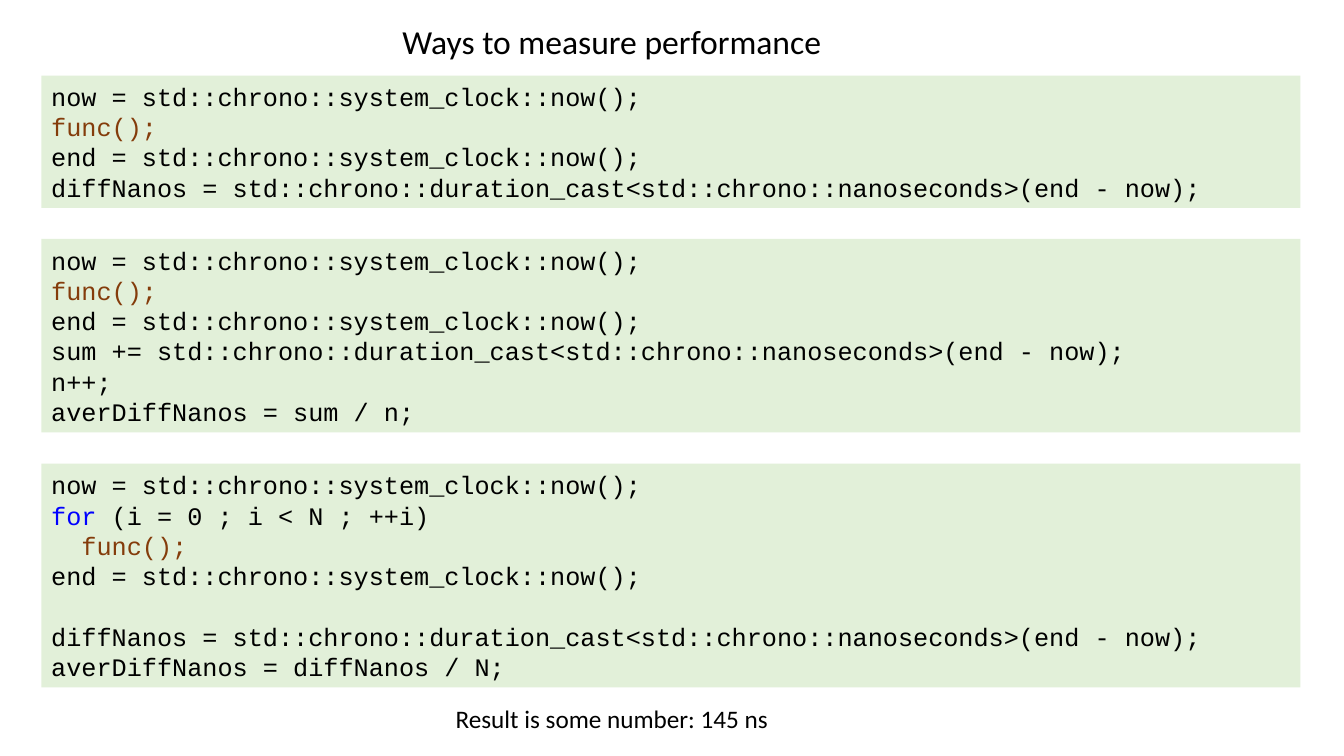
"""Build a slide comparing three ways to measure performance in C++."""
from pptx import Presentation
from pptx.dml.color import RGBColor
from pptx.enum.shapes import MSO_SHAPE
from pptx.enum.text import MSO_ANCHOR, MSO_AUTO_SIZE, PP_ALIGN
from pptx.util import Pt

RECTANGLE = MSO_SHAPE.RECTANGLE
MIDDLE = MSO_ANCHOR.MIDDLE
NO_AUTOFIT = MSO_AUTO_SIZE.NONE
LEFT, CENTER = PP_ALIGN.LEFT, PP_ALIGN.CENTER

BLACK, BROWN, BLUE, PALE_GREEN = "000000", "843C0B", "0000FF", "E2F0D9"
CODE_LINE = 21.6
CODE_INDENT = 21.6


def color(hex_string):
    return RGBColor.from_string(hex_string)


def add_run(paragraph, text, font, size, hex_string):
    run = paragraph.add_run()
    run.text = text
    run.font.name = font
    run.font.size = Pt(size)
    run.font.color.rgb = color(hex_string)


presentation = Presentation()
presentation.slide_width = Pt(960)
presentation.slide_height = Pt(540)
slide = presentation.slides.add_slide(presentation.slide_layouts[6])

start = [("now = std::chrono::system_clock::now();", BLACK)]
call = [("func();", BROWN)]
end = [("end = std::chrono::system_clock::now();", BLACK)]
difference = [("diffNanos = std::chrono::duration_cast<std::chrono::nanoseconds>(end - now);", BLACK)]
total = [("sum += std::chrono::duration_cast<std::chrono::nanoseconds>(end - now);", BLACK)]
count = [("n++;", BLACK)]
running_average = [("averDiffNanos = sum / n;", BLACK)]
loop = [("for", BLUE), (" (i = 0 ; i < N ; ++i)", BLACK)]
loop_average = [("averDiffNanos = diffNanos / N;", BLACK)]

# Each line: code runs, indent and space before, in points.
listings = [
    (54, 94.5, [(start, 0, 0), (call, 0, 0), (end, 0, 0), (difference, 0, 0)]),
    (170.6, 138.2, [(start, 0, 0), (call, 0, 0), (end, 0, 0),
                    (total, 0, 0), (count, 0, 0), (running_average, 0, 0)]),
    (331.2, 159.8, [(start, 0, 0), (loop, 0, 0), (call, CODE_INDENT, 0), (end, 0, 0),
                    (difference, 0, CODE_LINE), (loop_average, 0, 0)]),
]

for top, height, lines in listings:
    listing = slide.shapes.add_shape(RECTANGLE, Pt(29.5), Pt(top), Pt(899.3), Pt(height))
    listing.shadow.inherit = False
    listing.fill.solid()
    listing.fill.fore_color.rgb = color(PALE_GREEN)
    listing.line.fill.background()
    frame = listing.text_frame
    frame.word_wrap = True
    frame.auto_size = NO_AUTOFIT
    frame.vertical_anchor = MIDDLE
    for number, (code, indent, space_before) in enumerate(lines):
        paragraph = frame.add_paragraph() if number else frame.paragraphs[0]
        paragraph.alignment = LEFT
        if space_before:
            paragraph.space_before = Pt(space_before)
        if indent:
            paragraph._p.get_or_add_pPr().set("marL", str(Pt(indent)))
        for text, hex_string in code:
            add_run(paragraph, text, "Courier New", 18, hex_string)

captions = [
    ("Ways to measure performance", 24, 278.6, 11.5, 316.8, 36),
    ("Result is some number: 145 ns", 18, 316.8, 499, 240.5, 28.8),
]
for text, size, left, top, width, height in captions:
    caption = slide.shapes.add_textbox(Pt(left), Pt(top), Pt(width), Pt(height))
    caption.text_frame.word_wrap = False
    paragraph = caption.text_frame.paragraphs[0]
    paragraph.alignment = CENTER
    add_run(paragraph, text, "Calibri", size, BLACK)

presentation.save("out.pptx")
